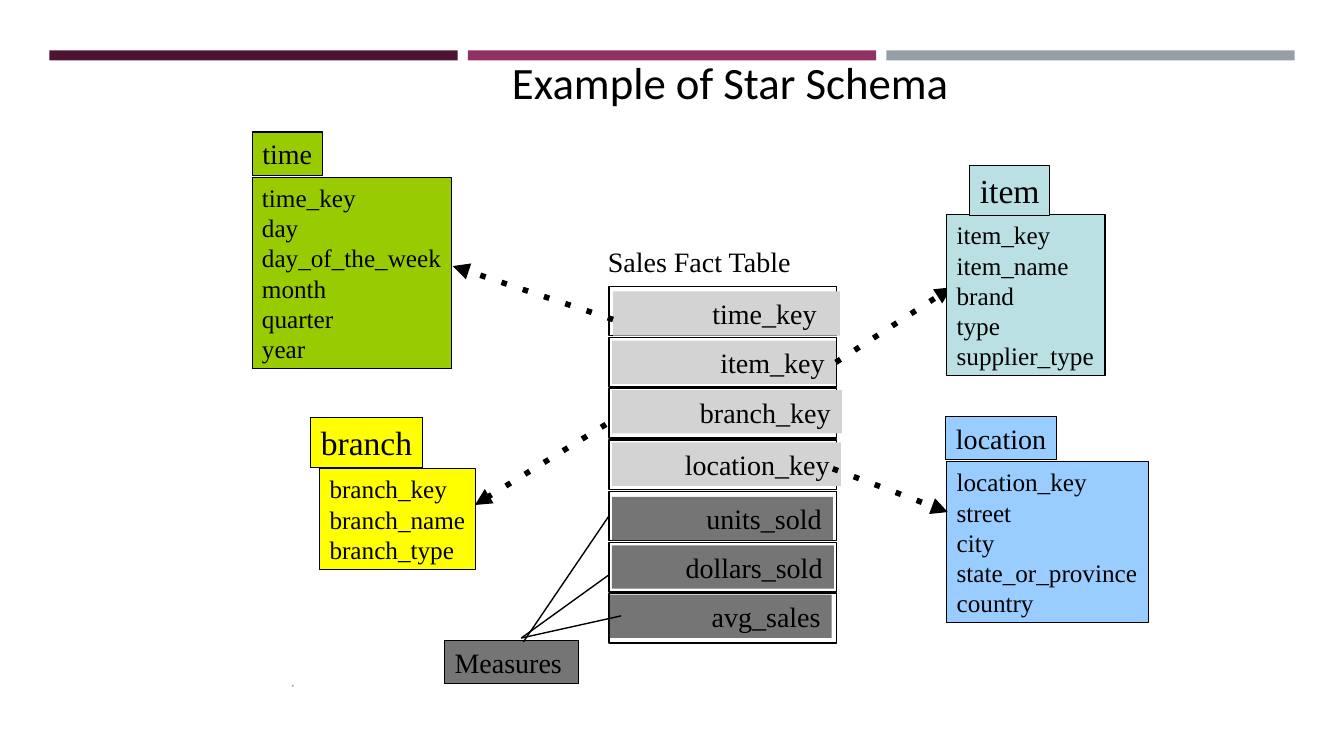
from pptx import Presentation
from pptx.dml.color import RGBColor
from pptx.enum.shapes import MSO_CONNECTOR as Connector, MSO_SHAPE as Shape
from pptx.enum.text import MSO_ANCHOR as Anchor, PP_ALIGN as Align
from pptx.oxml.ns import qn
from pptx.util import Inches, Pt
from lxml.etree import SubElement

BLACK = RGBColor(0x00, 0x00, 0x00)
PLUM = RGBColor(0x4D, 0x14, 0x34)
MAGENTA = RGBColor(0x90, 0x31, 0x63)
SLATE = RGBColor(0x96, 0x9F, 0xA7)
GREEN = RGBColor(0x99, 0xCC, 0x00)
BLUE = RGBColor(0x99, 0xCC, 0xFF)
TEAL = RGBColor(0xBB, 0xE0, 0xE3)
YELLOW = RGBColor(0xFF, 0xFF, 0x00)
KEY_GRAY = RGBColor(0xD3, 0xD3, 0xD3)
MEASURE_GRAY = RGBColor(0x75, 0x75, 0x75)
SERIF = "Times New Roman"

FACT_ROW_HEIGHT = 0.49
# Label text, left, top, width, height, right inset, fill
FACT_LABELS = [
    ("time_key", 6.08, 2.89, 2.25, 0.44, 0.23, KEY_GRAY),
    ("item_key", 6.07, 3.38, 2.22, 0.43, 0.11, KEY_GRAY),
    ("branch_key", 6.07, 3.87, 2.28, 0.43, 0.11, KEY_GRAY),
    ("location_key", 6.07, 4.39, 2.27, 0.43, 0.11, KEY_GRAY),
    ("units_sold", 6.07, 4.93, 2.19, 0.43, 0.11, MEASURE_GRAY),
    ("dollars_sold", 6.07, 5.41, 2.2, 0.43, 0.11, MEASURE_GRAY),
    ("avg_sales", 6.05, 5.9, 2.2, 0.43, 0.11, MEASURE_GRAY),
]


def add_rect(shapes, box, fill=None, line_width=None):
    rect = shapes.add_shape(Shape.RECTANGLE, *map(Inches, box))
    rect.shadow.inherit = False
    if fill is None:
        rect.fill.background()
    else:
        rect.fill.solid()
        rect.fill.fore_color.rgb = fill
    if line_width is None:
        rect.line.fill.background()
    else:
        rect.line.color.rgb = BLACK
        rect.line.width = Pt(line_width)
    return rect


def write(shape, lines, size, font=SERIF, align=Align.LEFT, anchor=Anchor.TOP,
          wrap=True):
    frame = shape.text_frame
    frame.word_wrap = wrap
    frame.vertical_anchor = anchor
    frame.text = "\n".join(lines)
    for para in frame.paragraphs:
        para.alignment = align
        para.font.name = font
        para.font.size = Pt(size)
        para.font.color.rgb = BLACK


def add_line(page, start, end, width):
    line = page.shapes.add_connector(Connector.STRAIGHT,
                                     *map(Inches, (*start, *end)))
    line.line.color.rgb = BLACK
    line.line.width = Pt(width)
    SubElement(line._element.spPr, qn("a:effectLst"))
    return line


def add_dotted_arrow(page, start, end):
    arrow = add_line(page, start, end, 4)
    outline = arrow._element.spPr.find(qn("a:ln"))
    SubElement(outline, qn("a:prstDash"), val="dot")
    SubElement(outline, qn("a:tailEnd"), type="triangle")
    return arrow


def add_header(page, left, top, width):
    # Three bars across the top, then the title
    gap = 0.1
    bar_width = (width - 2 * gap) / 3
    for index, color in enumerate((PLUM, MAGENTA, SLATE)):
        bar_left = left + index * (bar_width + gap)
        add_rect(page.shapes, (bar_left, top, bar_width, 0.1), color)
    title = page.shapes.add_textbox(*map(Inches, (2.66, top - 0.05, 9.17, 0.68)))
    write(title, ["Example of Star Schema"], 32, "Calibri", Align.CENTER,
          Anchor.BOTTOM)


def add_dimension(page, name, columns, body_box, tab_box, color, name_size=20):
    group = page.shapes.add_group_shape()
    body = add_rect(group.shapes, body_box, color, 0.75)
    write(body, columns, 18, wrap=False)
    tab = add_rect(group.shapes, tab_box, color, 0.75)
    write(tab, [name], name_size, align=Align.CENTER, anchor=Anchor.MIDDLE,
          wrap=False)


def add_fact_table(page, left, top, width, height):
    caption = page.shapes.add_textbox(
        *map(Inches, (left - 0.11, top - 0.46, 2.04, 0.43)))
    write(caption, ["Sales Fact Table"], 20)
    pitch = (height - FACT_ROW_HEIGHT) / (len(FACT_LABELS) - 1)
    frames, labels = {}, {}
    # All frames lie behind the labels
    for index, (name, *_) in enumerate(FACT_LABELS):
        row_box = (left, top + index * pitch, width, FACT_ROW_HEIGHT)
        frames[name] = add_rect(page.shapes, row_box, line_width=1)
    for name, *box, inset, color in FACT_LABELS:
        label = add_rect(page.shapes, box, color)
        label.text_frame.margin_right = Inches(inset)
        write(label, [name], 20, align=Align.RIGHT)
        labels[name] = label
    return frames, labels


def add_measures(page, box, frames):
    measures = add_rect(page.shapes, box, MEASURE_GRAY, 0.75)
    write(measures, ["Measures"], 20)
    left, top = box[:2]
    units_line = add_line(page, (left + 0.78, top + 0.02), (6.03, 5.12), 1)
    units_line.end_connect(frames["units_sold"], 1)
    for end in ((6.03, 5.71), (6.16, 6.11)):
        add_line(page, (left + 0.76, top - 0.02), end, 1)


def add_key_arrows(page, labels):
    add_dotted_arrow(page, (6.01, 4.21), (4.71, 5.01))
    add_dotted_arrow(page, (6.08, 3.17), (4.49, 2.64))
    add_dotted_arrow(page, (8.26, 4.65), (9.4, 5.08))
    item_arrow = add_dotted_arrow(page, (8.26, 3.6), (9.44, 2.85))
    item_arrow.begin_connect(labels["item_key"], 3)


def main():
    deck = Presentation()
    deck.slide_width, deck.slide_height = Inches(13.33), Inches(7.5)
    page = deck.slides.add_slide(deck.slide_layouts[6])

    add_header(page, 0.49, 0.5, 12.35)
    add_rect(page.shapes, (2.9, 6.8, 0.01, 0.01), BLACK)

    # Dimensions behind the arrows
    add_dimension(page, "time",
                  ["time_key", "day", "day_of_the_week", "month", "quarter", "year"],
                  (2.5, 1.76, 1.98, 1.9), (2.5, 1.31, 0.7, 0.43), GREEN)
    add_dimension(page, "location",
                  ["location_key", "street", "city", "state_or_province", "country"],
                  (9.39, 4.58, 2, 1.6), (9.38, 4.13, 1.1, 0.43), BLUE)

    frames, labels = add_fact_table(page, 6.04, 2.84, 2.26, 3.54)
    add_measures(page, (4.41, 6.35, 1.33, 0.43), frames)
    add_key_arrows(page, labels)

    # Dimensions in front of the arrows
    add_dimension(page, "item",
                  ["item_key", "item_name", "brand", "type", "supplier_type"],
                  (9.39, 2.13, 1.57, 1.6), (9.62, 1.64, 0.79, 0.5), TEAL, 24)
    add_dimension(page, "branch", ["branch_key", "branch_name", "branch_type"],
                  (3.17, 4.65, 1.55, 1), (3.08, 4.14, 1.11, 0.5), YELLOW, 24)

    deck.save("out.pptx")


if __name__ == "__main__":
    main()
